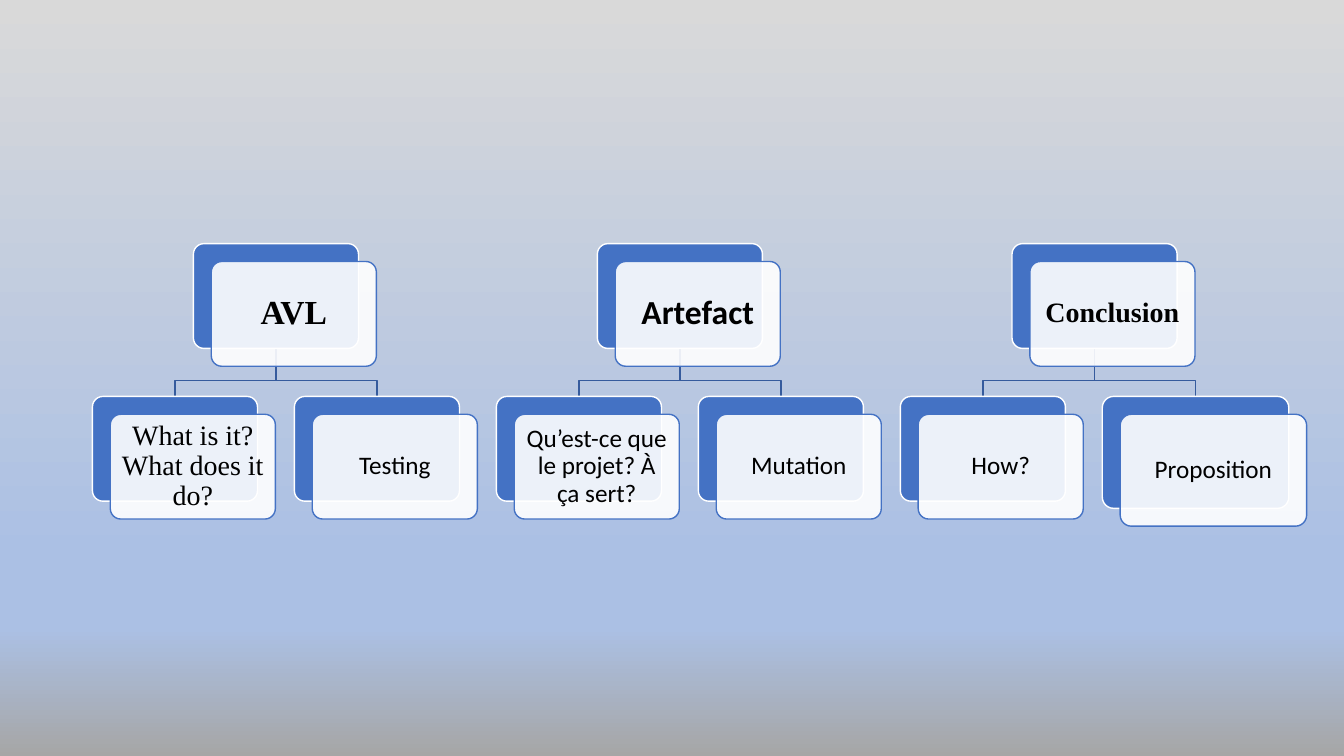
"""Build a one-slide outline of three topics, each with two sub-topics."""
from dataclasses import dataclass

from lxml import etree
from pptx import Presentation
from pptx.dml.color import RGBColor
from pptx.enum import shapes, text as txt
from pptx.oxml import ns
from pptx.util import Cm, Pt


@dataclass(frozen=True)
class Theme:
    blue: str = "4472C4"
    branch: str = "365B9D"
    white: str = "FFFFFF"
    black: str = "000000"
    sky: tuple = ((0, "D9D9D9"), (74, "ABC0E4"), (83, "ABC0E4"), (100, "A6A6A6"))
    serif: str = "Times New Roman"
    sans: str = "Calibri"
    large: int = 24
    medium: int = 20
    small: int = 18


th = Theme()
LEFT, PITCH = 2.33, 5.09
PARENT_TOP, BEND, CHILD_TOP = 6.14, 9.59, 9.99
CARD = (4.16, 2.64)
WIDE = (4.7, 2.82)
SHIFT = 0.45


def card(text, *, x, y, size, font, pt, bold=False):
    """Draw a blue card with a translucent labelled card in front."""
    for shift, fill, line in ((0, th.blue, th.white), (SHIFT, th.white, th.blue)):
        sp = s.shapes.add_shape(shapes.MSO_SHAPE.ROUNDED_RECTANGLE,
                                Cm(x + shift), Cm(y + shift), Cm(size[0]), Cm(size[1]))
        sp.adjustments[0] = 0.1
        sp.shadow.inherit = False
        sp.fill.solid()
        sp.fill.fore_color.rgb = RGBColor.from_string(fill)
        sp.line.color.rgb = RGBColor.from_string(line)
        sp.line.width = Pt(1)
    color = sp.element.spPr.find(ns.qn("a:solidFill"))[0]
    etree.SubElement(color, ns.qn("a:alpha"), val="90000")
    tf = sp.text_frame
    tf.word_wrap = True
    tf.vertical_anchor = txt.MSO_ANCHOR.MIDDLE
    tf.margin_left = tf.margin_right = tf.margin_top = tf.margin_bottom = Cm(pt * 0.01)
    p = tf.paragraphs[0]
    p.alignment = txt.PP_ALIGN.CENTER
    p.line_spacing = 0.9
    r = p.add_run()
    r.text = text
    r.font.name, r.font.size, r.font.bold = font, Pt(pt), bold
    r.font.color.rgb = RGBColor.from_string(th.black)


prs = Presentation()
prs.slide_width, prs.slide_height = Cm(33.87), Cm(19.05)
s = prs.slides.add_slide(prs.slide_layouts[6])

sky = s.background.fill
sky.gradient()
sky.gradient_angle = 270
stops = s.element.find(".//" + ns.qn("a:gsLst"))
for stop in list(stops):
    stops.remove(stop)
for pos, color in th.sky:
    stop = etree.SubElement(stops, ns.qn("a:gs"), pos=str(pos * 1000))
    etree.SubElement(stop, ns.qn("a:srgbClr"), val=color)

topics = [
    (("AVL", th.serif, th.large),
     [("What is it? What does it do?", th.serif, th.medium, CARD),
      ("Testing", th.sans, th.small, CARD)]),
    (("Artefact", th.sans, th.large),
     [("Qu’est-ce que le projet? À ça sert?", th.sans, th.small, CARD),
      ("Mutation", th.sans, th.small, CARD)]),
    (("Conclusion", th.serif, th.medium),
     [("How?", th.sans, th.small, CARD),
      ("Proposition", th.sans, th.small, WIDE)]),
]

for i, ((title, title_font, title_pt), children) in enumerate(topics):
    lefts = [LEFT + PITCH * (2 * i + j) for j in range(2)]
    center = (lefts[0] + lefts[1] + children[1][3][0]) / 2
    for left, child in zip(lefts, children):
        child_center = left + child[3][0] / 2
        fb = s.shapes.build_freeform(Cm(center), Cm(PARENT_TOP + CARD[1]))
        fb.add_line_segments([(Cm(center), Cm(BEND)), (Cm(child_center), Cm(BEND)),
                              (Cm(child_center), Cm(CHILD_TOP))], close=False)
        sp = fb.convert_to_shape()
        sp.shadow.inherit = False
        sp.fill.background()
        sp.line.color.rgb = RGBColor.from_string(th.branch)
        sp.line.width = Pt(1)
    card(title, x=center - CARD[0] / 2, y=PARENT_TOP, size=CARD,
         font=title_font, pt=title_pt, bold=True)
    for left, (label, font, pt, size) in zip(lefts, children):
        card(label, x=left, y=CHILD_TOP, size=size, font=font, pt=pt)

prs.save("out.pptx")
